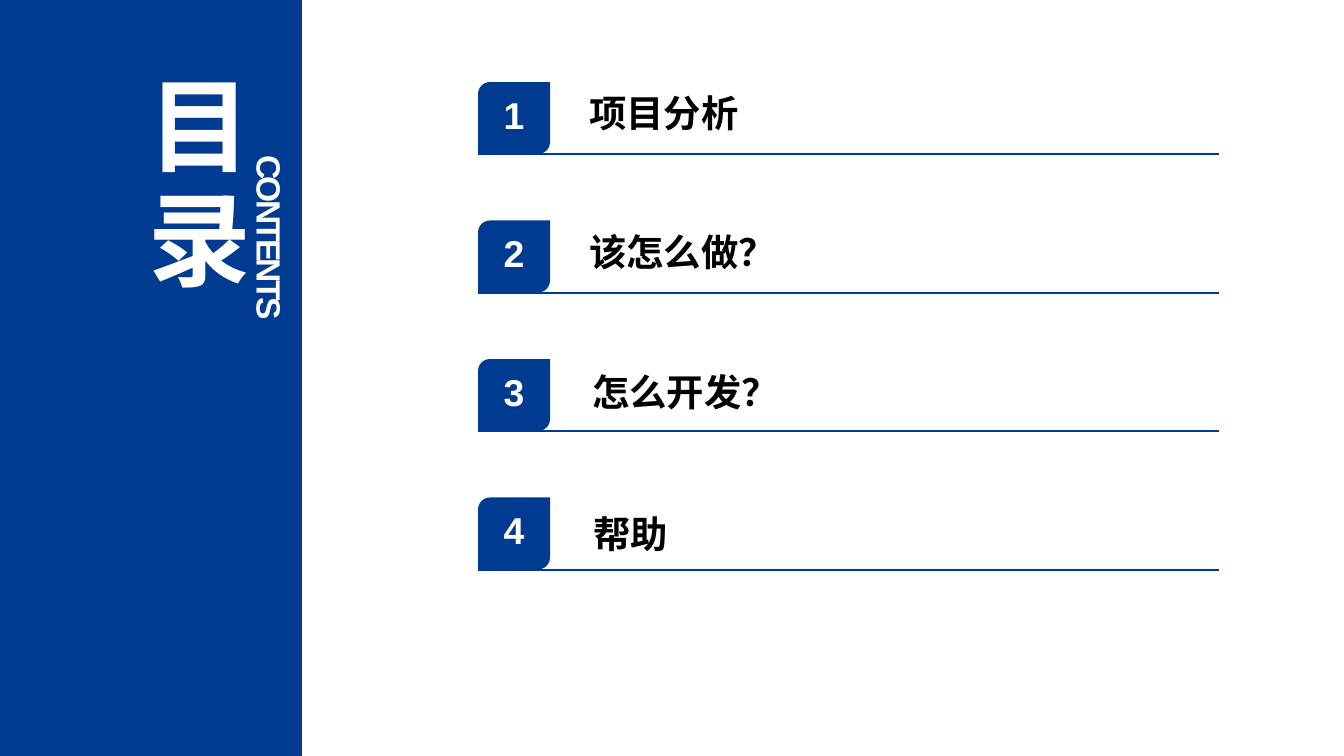
from math import ceil

from lxml.etree import SubElement
from pptx import Presentation
from pptx.dml.color import RGBColor
from pptx.enum.shapes import MSO_CONNECTOR, MSO_SHAPE
from pptx.enum.text import MSO_ANCHOR, MSO_AUTO_SIZE, PP_ALIGN
from pptx.oxml.ns import qn
from pptx.util import Pt

# Content: label, its box (left, top, width) in px
ITEMS = [
    ("项目分析", (576, 84, 182)),
    ("该怎么做？", (576, 223, 218)),
    ("怎么开发？", (579, 363, 218)),
    ("帮助", (580, 505, 106)),
]
COLORS = {"blue": "003B92", "white": "FFFFFF", "black": "000000"}
LATIN, HAN = "Arial", "Noto Sans CJK SC"

# Layout in px
WIDTH, HEIGHT = 1344, 756
SIDE = 302
LEFT, TOP, BADGE = 478, 82, 72
PITCH = 138.5
RULE = (478, 1219)
LABEL = 59
LIFT = 14  # bottom inset that raises the badge number


def px(n):
    return round(n * 914400 / 134.4)


def color(name):
    return RGBColor.from_string(COLORS[name])


def write(shape, text, size=20, font=HAN, ink="black", align=PP_ALIGN.LEFT,
          gap=0, upright=False):
    frame = shape.text_frame
    para = frame.paragraphs[0]
    para.alignment = align
    run = para.add_run()
    run.text = text
    run.font.size, run.font.bold, run.font.name = Pt(size), True, font
    run.font.color.rgb = color(ink)
    props = run._r.get_or_add_rPr()
    SubElement(props, qn("a:ea")).set("typeface", font)
    if font == HAN:
        props.set("lang", "zh-CN")
    if gap:
        props.set("spc", str(round(gap * 100)))
    if upright:
        frame._txBody.bodyPr.set("vert", "eaVert")


def add_text(text, box, **style):
    shape = slide.shapes.add_textbox(*map(px, box))
    write(shape, text, **style)
    shape.text_frame.word_wrap = False
    shape.text_frame.auto_size = MSO_AUTO_SIZE.SHAPE_TO_FIT_TEXT


def add_block(kind, box):
    shape = slide.shapes.add_shape(kind, *map(px, box))
    shape.shadow.inherit = False
    shape.fill.solid()
    shape.fill.fore_color.rgb = color("blue")
    shape.line.fill.background()
    return shape


def add_rule(y):
    start, end = RULE
    line = slide.shapes.add_connector(
        MSO_CONNECTOR.STRAIGHT, px(start), px(y), px(end), px(y))
    line.line.color.rgb = color("blue")
    line.line.width = Pt(1)
    SubElement(line._element.spPr, qn("a:effectLst"))


deck = Presentation()
deck.slide_width, deck.slide_height = px(WIDTH), px(HEIGHT)
slide = deck.slides.add_slide(deck.slide_layouts[6])

# Side panel with the upright title
add_block(MSO_SHAPE.RECTANGLE, (0, 0, SIDE, HEIGHT))
add_text("目录", (112, 61, 152, 243), size=55, ink="white", gap=6, upright=True)
add_text("CONTENTS", (230, 142, 67, 177), size=18, font=LATIN, ink="white",
         gap=-1.5, upright=True)

# Numbered rows
for i, (label, (x, y, w)) in enumerate(ITEMS):
    top = TOP + i * PITCH
    badge = add_block(MSO_SHAPE.ROUND_2_DIAG_RECTANGLE,
                      (LEFT, top, BADGE, BADGE))
    badge.text_frame.vertical_anchor = MSO_ANCHOR.MIDDLE
    badge.text_frame.margin_bottom = px(LIFT)
    write(badge, str(i + 1), font=LATIN, ink="white", align=PP_ALIGN.CENTER)
    add_rule(ceil(top + BADGE))
    add_text(label, (x, y, w, LABEL))

deck.save("out.pptx")
